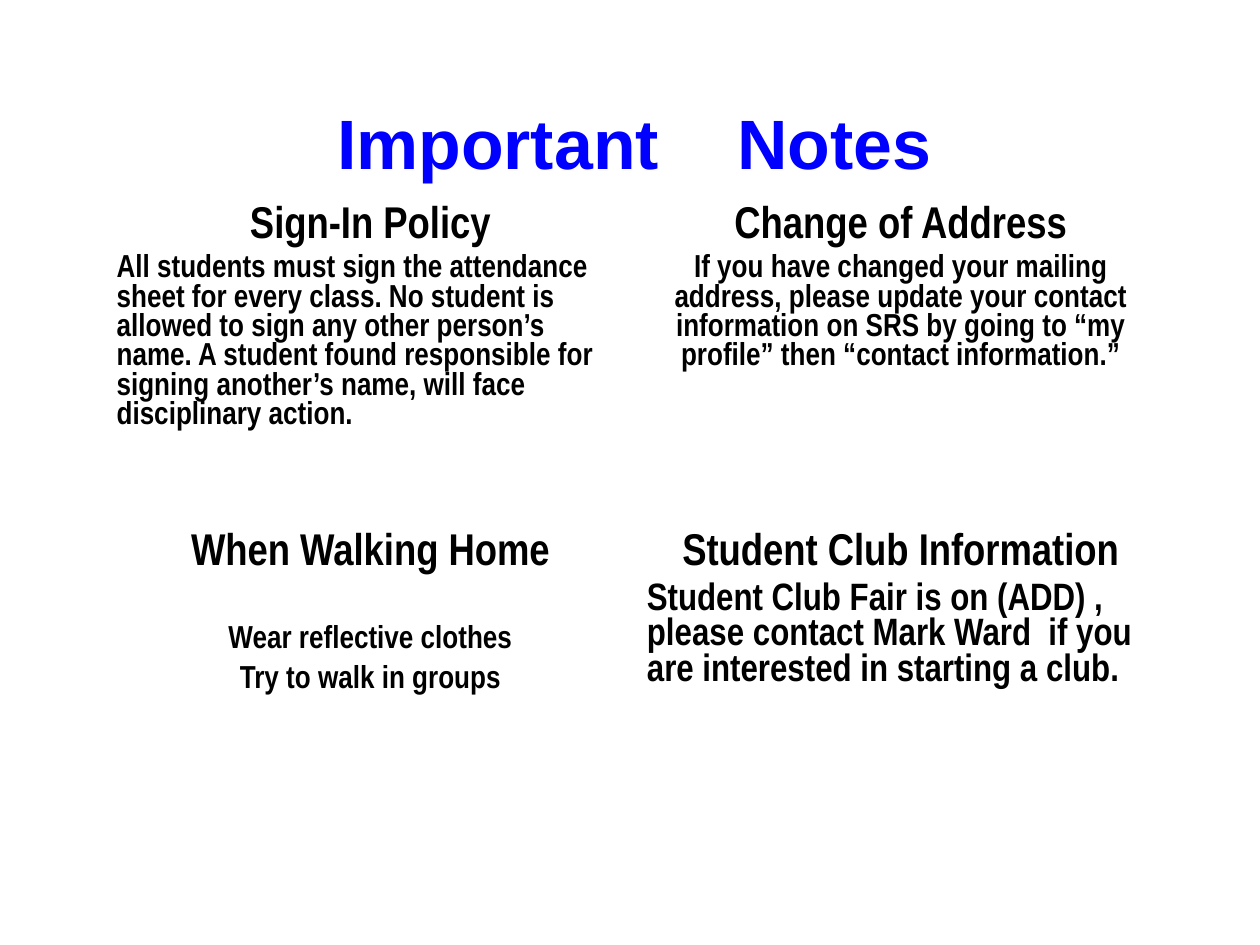
"""Build the Important Notes slide: a title above a two by two table of notices."""
from pptx import Presentation
from pptx import util as u
from pptx.dml import color
from pptx.enum import text

TITLE_WORDS = ("Important", "Notes")
TITLE_GAP = 36.7
LEFT, CENTER = text.PP_ALIGN.LEFT, text.PP_ALIGN.CENTER

NOTICES = [
    [
        ("Sign-In Policy", [
            ("All students must sign the attendance sheet for every class. "
             "No student is allowed to sign any other person’s name. "
             "A student found responsible for signing another’s name, "
             "will face disciplinary action.", 20, 5, LEFT),
        ]),
        ("Change of Address", [
            ("If you have changed your mailing address, please update your "
             "contact information on SRS by going to “my profile” then "
             "“contact information.”", 20, 5, CENTER),
        ]),
    ],
    [
        ("When Walking Home", [
            ("Wear reflective clothes", 20, 32.5, CENTER),
            ("Try to walk in groups", 20, 7, CENTER),
        ]),
        ("Student Club Information", [
            ("Student Club Fair is on (ADD) , please contact Mark Ward  if you "
             "are interested in starting a club.", 24, 6, LEFT),
        ]),
    ],
]
COLUMN_WIDTH = 4.64
ROW_HEIGHTS = (2.86, 3.08)


def paint(font, hex_color):
    font.color.rgb = color.RGBColor.from_string(hex_color)


def apply(target, values):
    for name, value in values.items():
        setattr(target, name, value)


def write_title(slide):
    frame = slide.shapes.add_textbox(
        u.Inches(0.92), u.Inches(0.46), u.Inches(9.26), u.Inches(1.19)).text_frame
    apply(frame, {"word_wrap": True, "vertical_anchor": text.MSO_ANCHOR.BOTTOM})
    heading = frame.paragraphs[0]
    heading.alignment = CENTER
    first, last = TITLE_WORDS
    for piece in (first, " ", last):
        run = heading.add_run()
        run.text = piece
        apply(run.font, {"name": "Arial", "size": u.Pt(44), "bold": True})
        paint(run.font, "0000FF")
        if piece == " ":
            run.font._element.set("spc", str(round(TITLE_GAP * 100)))


def write_notice(cell, heading, lines):
    cell.fill.background()
    frame = cell.text_frame
    for index, (line, size, before, align) in enumerate([(heading, 28, 0, CENTER), *lines]):
        paragraph = frame.add_paragraph() if index else frame.paragraphs[0]
        apply(paragraph, {"alignment": align, "line_spacing": 0.98,
                          "space_before": u.Pt(before)})
        run = paragraph.add_run()
        run.text = line
        apply(run.font, {"name": "Arial Narrow", "size": u.Pt(size), "bold": True})
        paint(run.font, "000000")


def write_notices(slide):
    columns = len(NOTICES[0])
    notices = slide.shapes.add_table(
        len(NOTICES), columns, u.Inches(0.92), u.Inches(1.75),
        u.Inches(COLUMN_WIDTH * columns), u.Inches(sum(ROW_HEIGHTS))).table
    apply(notices, {"first_row": False, "horz_banding": False})
    for row, height in zip(notices.rows, ROW_HEIGHTS):
        row.height = u.Inches(height)
    for r, row in enumerate(NOTICES):
        for c, (heading, lines) in enumerate(row):
            write_notice(notices.cell(r, c), heading, lines)


def main():
    deck = Presentation()
    deck.slide_width = u.Cm(28)
    deck.slide_height = u.Cm(21)
    slide = deck.slides.add_slide(deck.slide_layouts[6])
    write_title(slide)
    write_notices(slide)
    deck.save("out.pptx")


if __name__ == "__main__":
    main()
